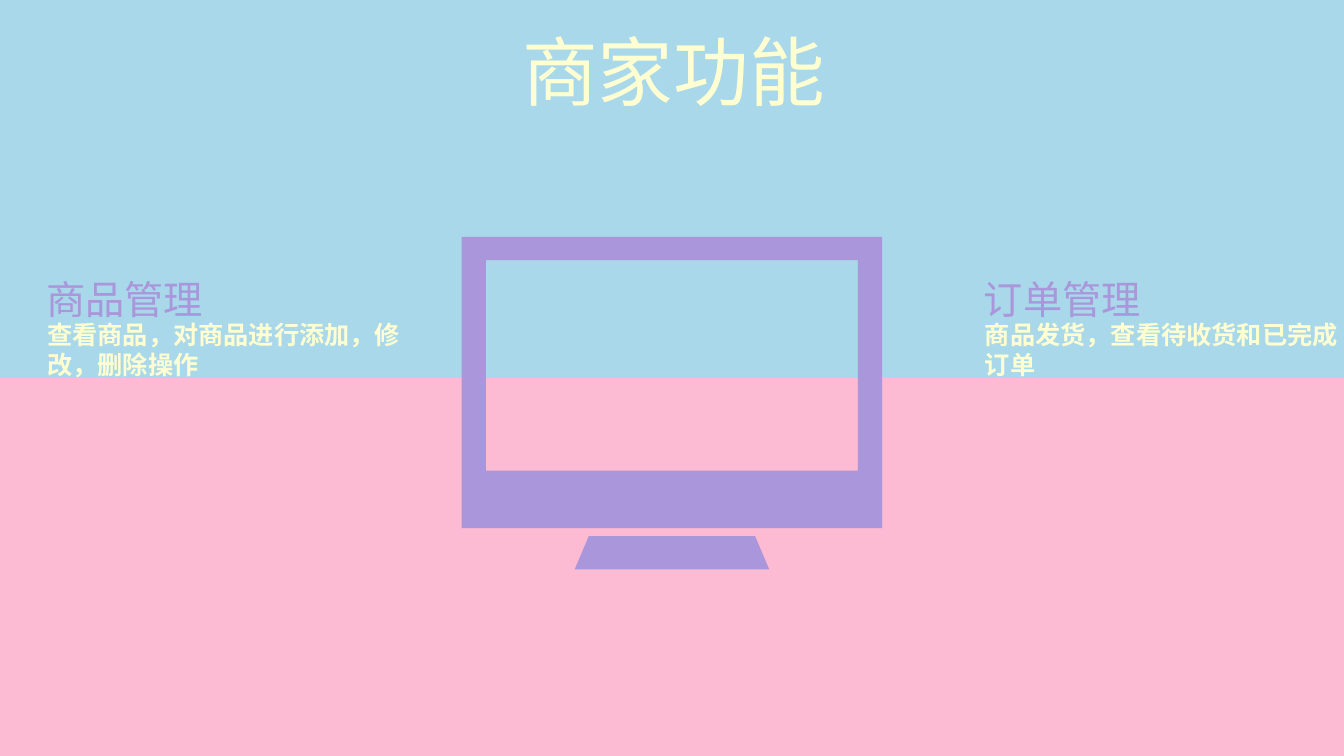
"""Build the slide of merchant functions around a desktop monitor."""
from pptx import Presentation
from pptx.dml.color import RGBColor
from pptx.enum.shapes import MSO_SHAPE
from pptx.enum.text import MSO_ANCHOR, PP_ALIGN
from pptx.util import Inches, Pt

TITLE = "商家功能"
FUNCTIONS = [
    (0.36, "商品管理", "查看商品，对商品进行添加，修改，删除操作"),
    (9.66, "订单管理", "商品发货，查看待收货和已完成订单"),
]
COLORS = {"sky": "A8D8EA", "pink": "FCBAD3", "purple": "AA96DA", "cream": "FFFFD2"}
HEADING_FONT, BODY_FONT = "Lato", "Noto Sans CJK SC"
SLIDE_WIDTH, SLIDE_HEIGHT = 13.33, 7.5


def fill_with(fill, color):
    fill.solid()
    fill.fore_color.rgb = RGBColor.from_string(COLORS[color])


def finish(shape, color):
    fill_with(shape.fill, color)
    shape.line.fill.background()
    shape.shadow.inherit = False


def write(shape, text, font_name, size, color, bold=False, align=PP_ALIGN.LEFT):
    frame = shape.text_frame
    frame.word_wrap = True
    frame.vertical_anchor = MSO_ANCHOR.TOP
    frame.text = text
    paragraph = frame.paragraphs[0]
    paragraph.alignment = align
    paragraph.line_spacing = 1
    paragraph.space_before = Pt(0)
    font = paragraph.font
    font.name, font.size, font.bold = font_name, Pt(size), bold
    font.color.rgb = RGBColor.from_string(COLORS[color])


def add_text(slide, left, top, width, height, *style):
    box = slide.shapes.add_textbox(*map(Inches, (left, top, width, height)))
    write(box, *style)


def rectangle(left, top, right, bottom):
    return [(left, top), (right, top), (right, bottom), (left, bottom)]


def add_monitor(slide):
    stand = [(5.84, 5.32), (7.49, 5.32), (7.63, 5.65), (5.7, 5.65)]
    screen = rectangle(4.82, 2.58, 8.51, 4.67)[::-1]
    casing = rectangle(4.58, 2.35, 8.75, 5.24)
    builder = slide.shapes.build_freeform(*map(Inches, stand[0]))
    for outline in (stand, screen, casing):
        points = [(Inches(x), Inches(y)) for x, y in outline]
        if outline is not stand:
            builder.move_to(*points[0])
        builder.add_line_segments(points[1:], close=True)
    finish(builder.convert_to_shape(), "purple")


def main():
    presentation = Presentation()
    presentation.slide_width = Inches(SLIDE_WIDTH)
    presentation.slide_height = Inches(SLIDE_HEIGHT)
    slide = presentation.slides.add_slide(presentation.slide_layouts[5])
    fill_with(slide.background.fill, "sky")

    half = SLIDE_HEIGHT / 2
    band = slide.shapes.add_shape(
        MSO_SHAPE.RECTANGLE, 0, Inches(half), Inches(SLIDE_WIDTH), Inches(half))
    finish(band, "pink")

    title = slide.shapes.title
    title.left, title.top = Inches(3.69), Inches(0.2)
    title.width, title.height = Inches(5.98), Inches(1.01)
    write(title, TITLE, HEADING_FONT, 54, "cream", False, PP_ALIGN.CENTER)

    add_monitor(slide)
    for left, heading, description in FUNCTIONS:
        add_text(slide, left, 2.68, 2.78, 0.57, heading, HEADING_FONT, 28, "purple")
        add_text(slide, left + 0.01, 3.12, 3.86, 0.71,
                 description, BODY_FONT, 18, "cream", True)
    presentation.save("out.pptx")


if __name__ == "__main__":
    main()
